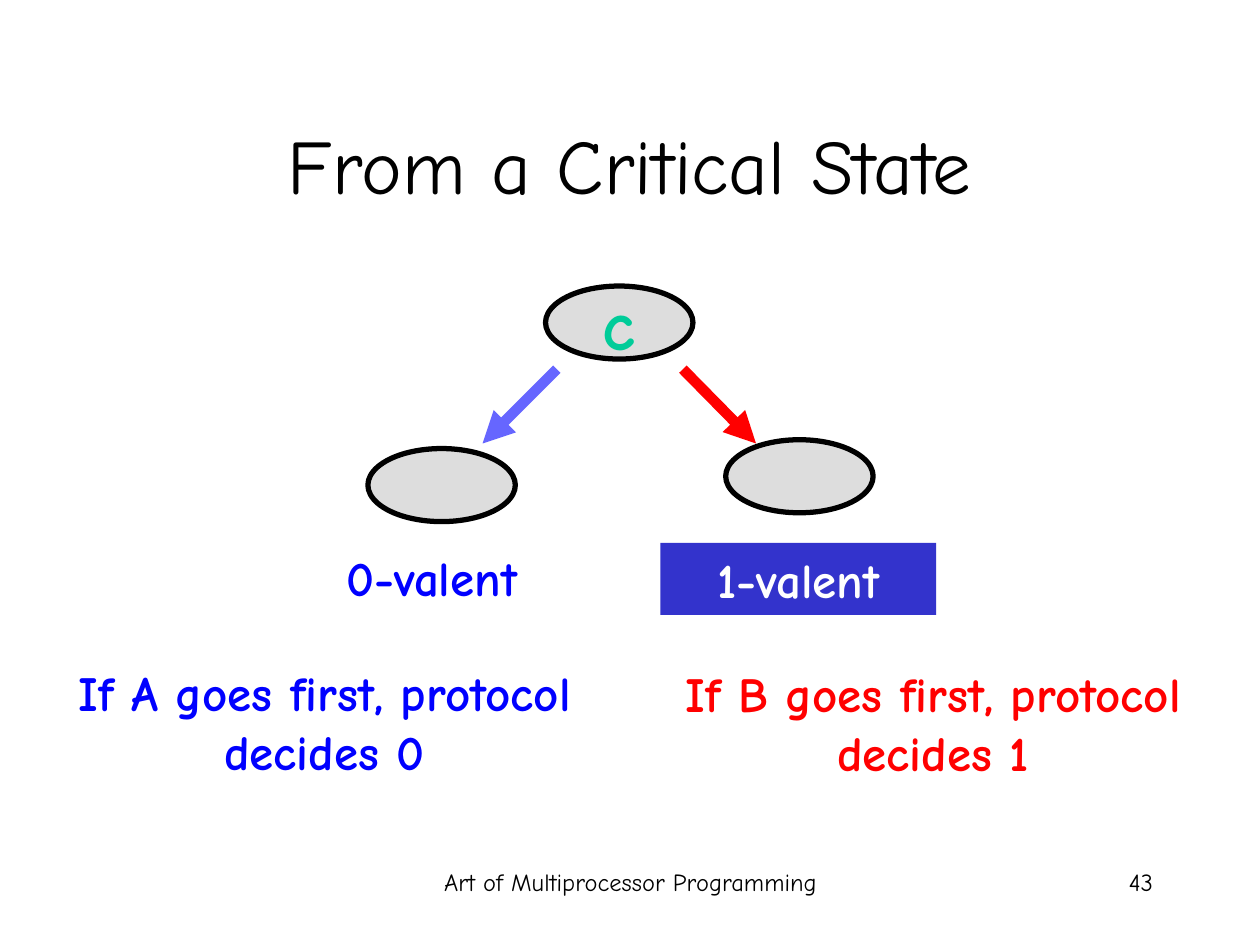
import pptx
import pptx.dml.color
import pptx.enum.shapes
import pptx.enum.text
import pptx.oxml.ns
import pptx.util
from lxml import etree
from pptx.util import Inches

ALIGN = pptx.enum.text.PP_ALIGN
ANCHOR = pptx.enum.text.MSO_ANCHOR
SHAPE = pptx.enum.shapes.MSO_SHAPE
COLORS = {
    "black": "000000", "white": "FFFFFF", "state": "DDDDDD", "critical": "00CC99",
    "zero": "0000FF", "one": "FF0000", "zero_arrow": "6666FF", "highlight": "3333CC",
}


def color(name):
    return pptx.dml.color.RGBColor.from_string(COLORS[name])


def write(shape, words, size, ink, bold=False, align=ALIGN.CENTER, anchor=ANCHOR.TOP, wrap=True):
    """Fill a shape's text frame with one styled run."""
    frame = shape.text_frame
    frame.word_wrap = wrap
    frame.vertical_anchor = anchor
    paragraph = frame.paragraphs[0]
    paragraph.alignment = align
    run = paragraph.add_run()
    run.text = words
    run.font.name = "Comic Neue"
    run.font.size = pptx.util.Pt(size)
    run.font.bold = bold
    run.font.color.rgb = color(ink)


presentation = pptx.Presentation()
presentation.slide_width, presentation.slide_height = Inches(10), Inches(7.5)
slide = presentation.slides.add_slide(presentation.slide_layouts[6])
shapes = slide.shapes

title = shapes.add_textbox(Inches(0.75), Inches(0.67), Inches(8.5), Inches(1.25))
write(title, "From a Critical State", 44, "black", anchor=ANCHOR.MIDDLE)

# Protocol states: the critical one, then its two successors
for left, top, label in [(4.33, 2.27, "c"), (2.92, 3.56, ""), (5.76, 3.49, "")]:
    state = shapes.add_shape(SHAPE.OVAL, Inches(left), Inches(top), Inches(1.17), Inches(0.58))
    state.shadow.inherit = False
    state.fill.solid()
    state.fill.fore_color.rgb = color("state")
    state.line.color.rgb = color("black")
    state.line.width = pptx.util.Pt(3)
    if label:
        write(state, label, 40, "critical", bold=True, anchor=ANCHOR.MIDDLE, wrap=False)

# Moves out of the critical state
for start, end, ink in [(4.42, 3.83, "zero_arrow"), (5.42, 6, "one")]:
    move = shapes.add_connector(pptx.enum.shapes.MSO_CONNECTOR.STRAIGHT,
                                Inches(start), Inches(2.93), Inches(end), Inches(3.52))
    move.line.color.rgb = color(ink)
    move.line.width = pptx.util.Pt(6)
    etree.SubElement(move.line._get_or_add_ln(), pptx.oxml.ns.qn("a:tailEnd"), type="triangle")
    etree.SubElement(move._element.spPr, pptx.oxml.ns.qn("a:effectLst"))

for left, top, width, height, words, ink in [
    (0.37, 5.21, 4.41, 1.04, "If A goes first, protocol decides 0", "zero"),
    (5.2, 5.22, 4.41, 1.04, "If B goes first, protocol decides 1", "one"),
    (2.25, 4.3, 2.35, 0.57, "0-valent", "zero"),
]:
    outcome = shapes.add_textbox(Inches(left), Inches(top), Inches(width), Inches(height))
    write(outcome, words, 28, ink, bold=True)

one_valent = shapes.add_shape(SHAPE.RECTANGLE, Inches(5.24), Inches(4.31), Inches(2.19), Inches(0.57))
one_valent.shadow.inherit = False
one_valent.fill.solid()
one_valent.fill.fore_color.rgb = color("highlight")
one_valent.line.fill.background()
write(one_valent, "1-valent", 28, "white", bold=True)

for left, width, words, align in [
    (3.42, 3.17, "Art of Multiprocessor Programming", ALIGN.CENTER),
    (7.17, 2.08, "43", ALIGN.RIGHT),
]:
    footer = shapes.add_textbox(Inches(left), Inches(6.83), Inches(width), Inches(0.5))
    write(footer, words, 14, "black", align=align)

presentation.save("out.pptx")
